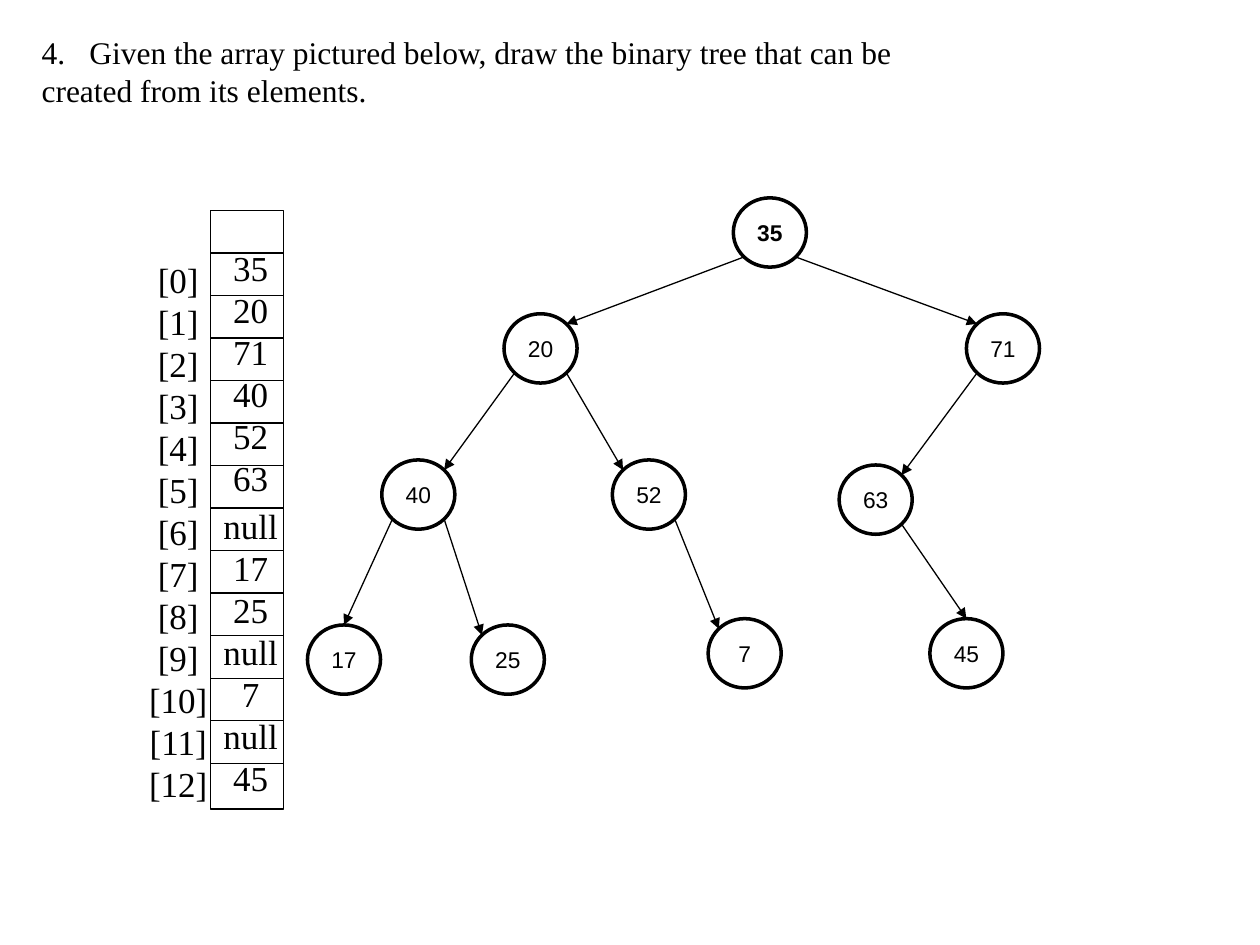
from dataclasses import dataclass
from math import sqrt

from lxml.etree import SubElement
from pptx import Presentation
from pptx.dml.color import RGBColor
from pptx.enum.shapes import MSO_CONNECTOR as Connector, MSO_SHAPE as Preset
from pptx.enum.text import MSO_ANCHOR as Anchor, MSO_AUTO_SIZE as Fit, PP_ALIGN as Align
from pptx.oxml.ns import qn
from pptx.util import Inches, Pt


@dataclass(frozen=True)
class Theme:
    ink: RGBColor = RGBColor(0, 0, 0)
    paper: RGBColor = RGBColor(255, 255, 255)
    serif: str = "Times New Roman"
    sans: str = "Arial"
    title_size: float = 18
    array_size: float = 20
    node_size: float = 13
    thin: float = 0.75
    thick: float = 2


theme = Theme()

QUESTION = [
    "Given the array pictured below, draw the binary tree that can be",
    "created from its elements.",
]
VALUES = ["35", "20", "71", "40", "52", "63", "null",
          "17", "25", "null", "7", "null", "45"]
INDEXES = [f"[{index}]" for index in range(len(VALUES))]
NODE_PLACES = {
    0: (5.82, 1.57), 1: (4, 2.49), 2: (7.67, 2.49),
    3: (3.03, 3.65), 4: (4.86, 3.65), 5: (6.66, 3.69),
    7: (2.44, 4.96), 8: (3.74, 4.96), 10: (5.62, 4.91), 12: (7.38, 4.91),
}
ENTERED_AT_TOP = {7, 12}
NODE_WIDTH, NODE_HEIGHT = 0.58, 0.55
ARRAY_LEFT, ARRAY_TOP, ARRAY_WIDTH, ARRAY_HEIGHT = 1.67, 1.67, 0.58, 4.75
ROW_HEIGHT = 0.3375

deck = Presentation()
deck.slide_width, deck.slide_height = Inches(10), Inches(7.5)
page = deck.slides.add_slide(deck.slide_layouts[5])


def write(shape, lines, size, font=theme.serif, bold=False,
          align=Align.CENTER, anchor=Anchor.TOP, fit=Fit.SHAPE_TO_FIT_TEXT):
    frame = shape.text_frame
    frame.word_wrap = False
    frame.auto_size = fit
    frame.vertical_anchor = anchor
    for number, line in enumerate(lines):
        para = frame.paragraphs[0] if number == 0 else frame.add_paragraph()
        para.alignment = align
        span = para.add_run()
        span.text = line
        span.font.name = font
        span.font.size = Pt(size)
        span.font.bold = bold
        span.font.color.rgb = theme.ink
    return frame.paragraphs


def add_outline(preset, left, top, width, height, weight):
    shape = page.shapes.add_shape(
        preset, Inches(left), Inches(top), Inches(width), Inches(height))
    shape.shadow.inherit = False
    shape.fill.solid()
    shape.fill.fore_color.rgb = theme.paper
    shape.line.color.rgb = theme.ink
    shape.line.width = Pt(weight)
    return shape


def add_line(start, end, arrow=False):
    line = page.shapes.add_connector(
        Connector.STRAIGHT, *(Inches(value) for value in (*start, *end)))
    line.line.color.rgb = theme.ink
    line.line.width = Pt(theme.thin)
    if arrow:
        SubElement(line.line._get_or_add_ln(), qn("a:tailEnd"), type="triangle")
    SubElement(line._element.spPr, qn("a:effectLst"))


def add_column(lines, left, top, width, height):
    box = page.shapes.add_textbox(
        Inches(left), Inches(top), Inches(width), Inches(height))
    return write(box, lines, theme.array_size)


def node_point(index, across, down):
    left, top = NODE_PLACES[index]
    return (left + NODE_WIDTH * (1 + across) / 2,
            top + NODE_HEIGHT * (1 + down) / 2)


title = page.shapes.title
title.left, title.top = Inches(0.23), Inches(0.21)
title.width, title.height = Inches(7.02), Inches(0.71)
first_line = write(title, QUESTION, theme.title_size, align=Align.LEFT)[0]
numbering = first_line._p.get_or_add_pPr()
numbering.set("marL", str(Inches(0.38)))
numbering.set("indent", str(-Inches(0.38)))
SubElement(numbering, qn("a:buFont"), typeface=theme.serif)
SubElement(numbering, qn("a:buAutoNum"), type="arabicPeriod", startAt="4")

add_outline(Preset.RECTANGLE, ARRAY_LEFT, ARRAY_TOP,
            ARRAY_WIDTH, ARRAY_HEIGHT, theme.thin)
for row in range(1, len(VALUES) + 1):
    y = ARRAY_TOP + row * ROW_HEIGHT
    add_line((ARRAY_LEFT, y), (ARRAY_LEFT + ARRAY_WIDTH, y))
add_column(INDEXES, 1.08, 2, 0.67, 4.48)
cells = add_column(VALUES, 1.67, 1.91, 0.64, 4.48)
cells[VALUES.index("null")].space_before = Pt(3)

for index, (left, top) in NODE_PLACES.items():
    node = add_outline(Preset.OVAL, left, top, NODE_WIDTH, NODE_HEIGHT, theme.thick)
    write(node, [VALUES[index]], theme.node_size, font=theme.sans,
          bold=index == 0, anchor=Anchor.MIDDLE, fit=Fit.NONE)

diagonal = 1 / sqrt(2)
for child in NODE_PLACES:
    if child == 0:
        continue
    parent = (child - 1) // 2
    side = -diagonal if child % 2 else diagonal
    start = node_point(parent, side, diagonal)
    if child in ENTERED_AT_TOP:
        end = node_point(child, 0, -1)
    else:
        end = node_point(child, -side, -diagonal)
    add_line(start, end, arrow=True)

deck.save("out.pptx")
